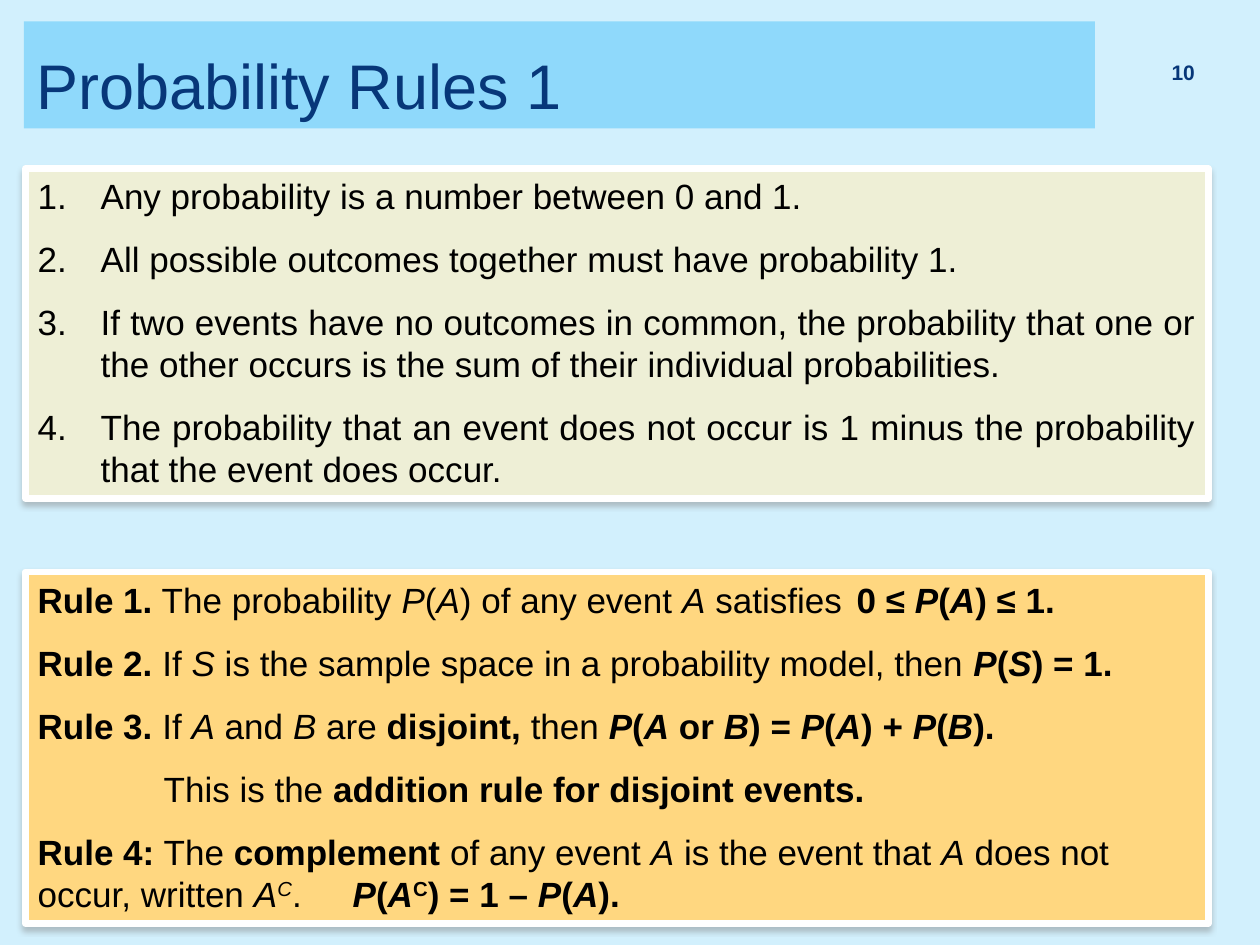
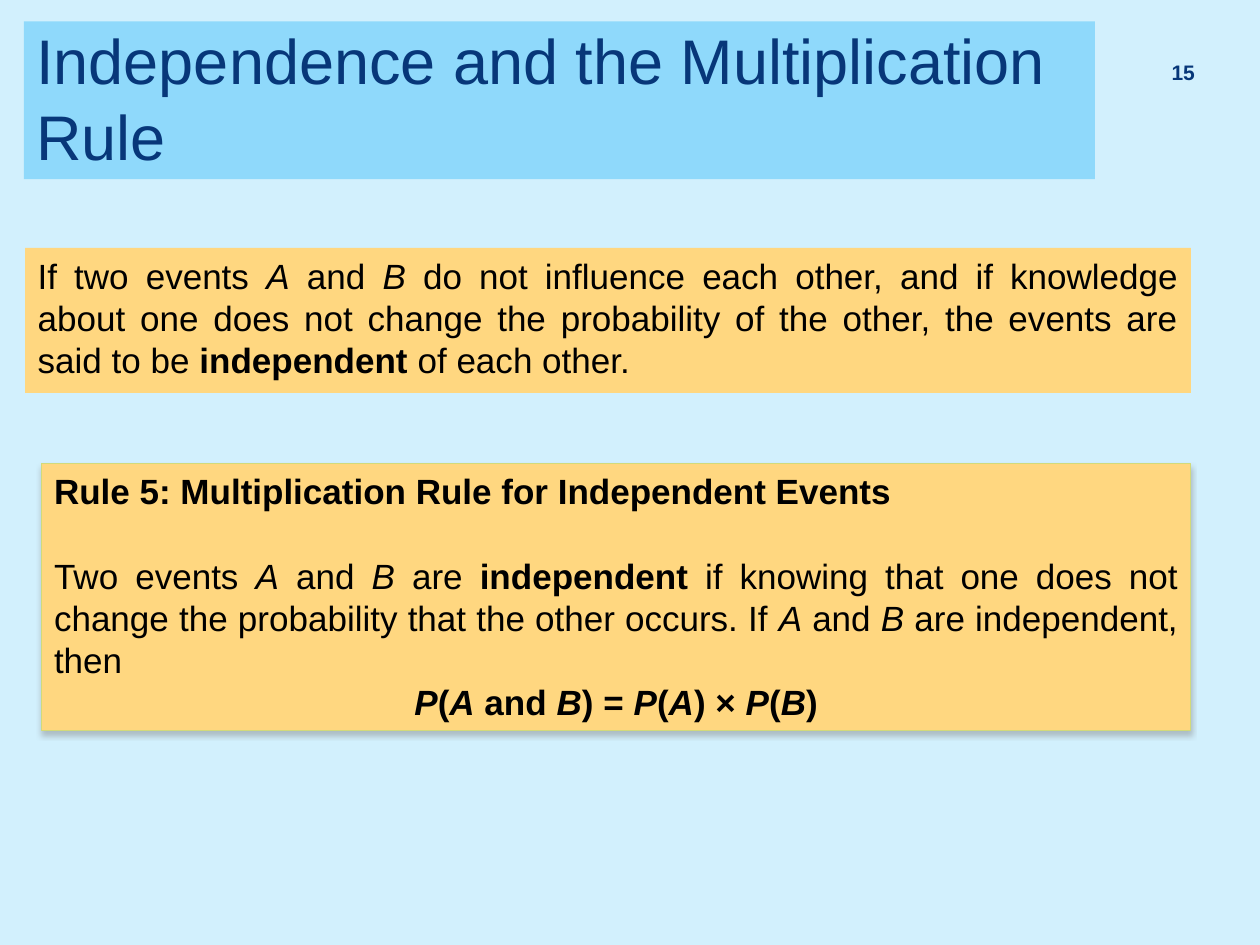
from dataclasses import dataclass

from lxml import etree
from pptx import Presentation
from pptx.dml.color import RGBColor
from pptx.enum.shapes import MSO_SHAPE
from pptx.enum.text import MSO_ANCHOR, MSO_AUTO_SIZE, PP_ALIGN
from pptx.oxml.ns import qn
from pptx.util import Cm, Pt

LEFT, RIGHT, CENTER, JUSTIFY = PP_ALIGN.LEFT, PP_ALIGN.RIGHT, PP_ALIGN.CENTER, PP_ALIGN.JUSTIFY
TOP, MIDDLE, BOTTOM = MSO_ANCHOR.TOP, MSO_ANCHOR.MIDDLE, MSO_ANCHOR.BOTTOM
RECTANGLE = MSO_SHAPE.RECTANGLE
TITLE_ONLY = 5


@dataclass(frozen=True)
class Theme:
    font: str = "Arial"
    background: str = "D2F0FD"
    band: str = "8FD9FB"
    navy: str = "073779"
    ink: str = "000000"
    cream: str = "EEEFD6"
    amber: str = "FFD780"
    white: str = "FFFFFF"
    lime: str = "D2DA7A"
    shadow: str = "808080"
    title_size: int = 36
    body_size: int = 20
    number_size: int = 12


THEME = Theme()

# Text markup: *bold*, _italic_, ^superscript^.
# Each paragraph is its text and its format; all lengths are in centimetres.
NUMBERED = dict(numbered=True, indent=1.27, hanging=1.27, after=12)
RULE = dict(after=12)

PLAIN_RULES = [
    ("Any probability is a number between 0 and 1.", NUMBERED),
    ("All possible outcomes together must have probability 1.", NUMBERED),
    ("If two events have no outcomes in common, the probability that one or the other "
     "occurs is the sum of their individual probabilities.", NUMBERED | dict(align=JUSTIFY)),
    ("The probability that an event does not occur is 1 minus the probability that the "
     "event does occur.", NUMBERED | dict(align=JUSTIFY)),
]
FORMAL_RULES = [
    ("*Rule 1.* The probability _P_(_A_) of any event _A_ satisfies\t*0 ≤ _P_(_A_) ≤ 1.*",
     RULE | dict(tab=16.6)),
    ("*Rule 2.* If _S_ is the sample space in a probability model, then *_P_(_S_) = 1.*", RULE),
    ("*Rule 3.* If _A_ and _B_ are *disjoint,* then *_P_(_A_ or _B_) = _P_(_A_) + _P_(_B_).*",
     RULE),
    ("This is the *addition rule for disjoint events.*", RULE | dict(indent=2.54)),
    ("*Rule 4:* The *complement* of any event _A_ is the event that _A_ does not occur, "
     "written _A^C^_.\t*_P_(_A_^C^) = 1 – _P_(_A_).*", RULE | dict(tab=5.9)),
]
INDEPENDENCE = [
    ("If two events _A_ and _B_ do not influence each other, and if knowledge about one does "
     "not change the probability of the other, the events are said to be *independent* of "
     "each other.", dict(align=JUSTIFY)),
]
MULTIPLICATION_RULE = [
    ("*Rule 5: Multiplication Rule for Independent Events*", dict(after=24)),
    ("Two events _A_ and _B_ are *independent* if knowing that one does not change the "
     "probability that the other occurs. If _A_ and _B_ are independent, then",
     dict(align=JUSTIFY)),
    ("*_P_(_A_ and _B_) = _P_(_A_) × _P_(_B_)*", dict(align=CENTER)),
]

FRAMED = dict(line=THEME.white, line_width=3.75, shadow=True)
SLIDES = [
    dict(title="Probability Rules 1", number="10", band_height=2.16, panels=[
        (PLAIN_RULES, (0.51, 3.4, 23.85, 6.65), dict(fill=THEME.cream) | FRAMED),
        (FORMAL_RULES, (0.51, 11.53, 23.85, 7.09), dict(fill=THEME.amber) | FRAMED),
    ]),
    dict(title="Independence and the Multiplication Rule", number="15", band_height=3.18, panels=[
        (INDEPENDENCE, (0.51, 5, 23.5, 2.92), dict(fill=THEME.amber)),
        (MULTIPLICATION_RULE, (0.84, 9.35, 23.16, 5.38),
         dict(fill=THEME.amber, line=THEME.lime, line_width=0.79, shadow=True)),
    ]),
]


def color(value):
    return RGBColor.from_string(value)


def spans(text):
    """Yield each stretch of marked-up text with the set of marks in force."""
    marks, piece = set(), ""
    for letter in text:
        if letter not in "*_^":
            piece += letter
            continue
        if piece:
            yield piece, set(marks)
        marks ^= {letter}
        piece = ""
    if piece:
        yield piece, marks


def write_paragraph(para, text, *, size=THEME.body_size, ink=THEME.ink, align=LEFT, after=0,
                    spacing=None, indent=0, hanging=0, numbered=False, tab=None):
    para.alignment = align
    para.space_before, para.space_after = Pt(0), Pt(after)
    if spacing:
        para.line_spacing = spacing
    properties = para._p.get_or_add_pPr()
    properties.set("marL", str(Cm(indent)))
    properties.set("indent", str(-Cm(hanging)))
    if numbered:
        etree.SubElement(properties, qn("a:buAutoNum"), type="arabicPeriod")
    if tab:
        stops = etree.SubElement(properties, qn("a:tabLst"))
        etree.SubElement(stops, qn("a:tab"), pos=str(Cm(tab)), algn="l")
    for piece, marks in spans(text):
        span = para.add_run()
        span.text = piece
        font = span.font
        font.name, font.size = THEME.font, Pt(size)
        font.color.rgb = color(ink)
        font.bold, font.italic = "*" in marks, "_" in marks
        if "^" in marks:
            span._r.get_or_add_rPr().set("baseline", "30000")


def write_text(box, paragraphs, anchor=TOP):
    frame = box.text_frame
    frame.word_wrap = True
    frame.auto_size = MSO_AUTO_SIZE.NONE
    frame.vertical_anchor = anchor
    for index, (text, style) in enumerate(paragraphs):
        para = frame.add_paragraph() if index else frame.paragraphs[0]
        write_paragraph(para, text, **style)


def fill_solid(target, value):
    target.fill.solid()
    target.fill.fore_color.rgb = color(value)


def add_shadow(box):
    effects = box._element.spPr.find(qn("a:effectLst"))
    outer = etree.SubElement(effects, qn("a:outerShdw"), blurRad=str(Pt(3)),
                             dist=str(Pt(2.4)), dir="5400000", rotWithShape="0")
    tone = etree.SubElement(outer, qn("a:srgbClr"), val=THEME.shadow)
    etree.SubElement(tone, qn("a:alpha"), val="45000")


def add_panel(page, paragraphs, place, *, fill, line=None, line_width=0, shadow=False):
    box = page.shapes.add_shape(RECTANGLE, *map(Cm, place))
    fill_solid(box, fill)
    if line:
        box.line.color.rgb = color(line)
        box.line.width = Pt(line_width)
    else:
        box.line.fill.background()
    box.shadow.inherit = False
    if shadow:
        add_shadow(box)
    write_text(box, paragraphs)


def add_page(deck, title, number, band_height, panels):
    page = deck.slides.add_slide(deck.slide_layouts[TITLE_ONLY])
    fill_solid(page.background, THEME.background)

    band = page.shapes.title
    band.left, band.top, band.width, band.height = map(Cm, (0.48, 0.43, 21.59, band_height))
    fill_solid(band, THEME.band)
    write_text(band, [(title, dict(size=THEME.title_size, ink=THEME.navy))], BOTTOM)

    number_box = page.shapes.add_textbox(*map(Cm, (22.94, 0.99, 1.4, 1.02)))
    number_style = dict(size=THEME.number_size, ink=THEME.navy, align=RIGHT, spacing=0.8)
    write_text(number_box, [(f"*{number}*", number_style)], MIDDLE)

    for paragraphs, place, look in panels:
        add_panel(page, paragraphs, place, **look)


def main():
    deck = Presentation()
    deck.slide_width, deck.slide_height = Cm(25.4), Cm(19.05)
    for content in SLIDES:
        add_page(deck, **content)
    deck.save("out.pptx")


if __name__ == "__main__":
    main()
